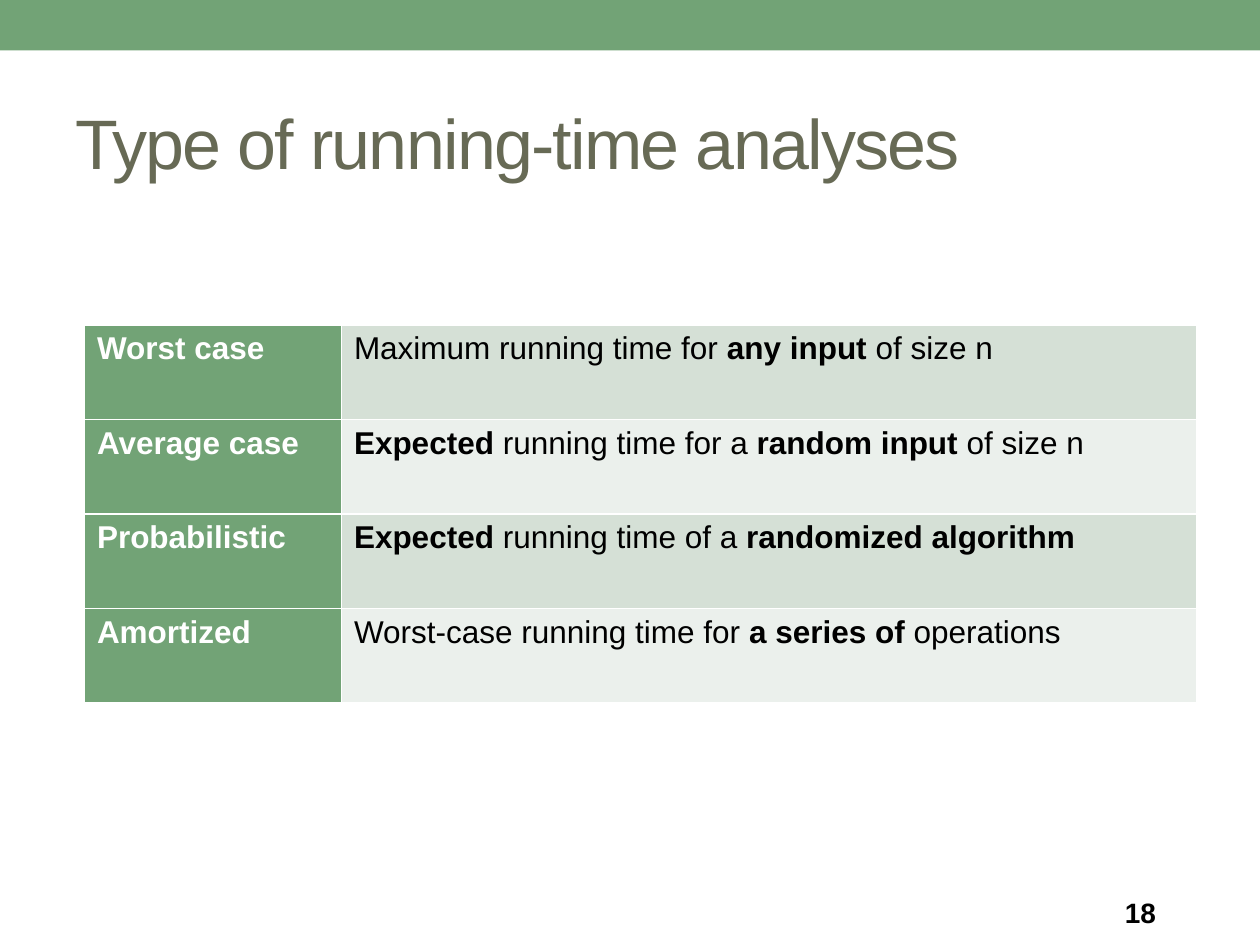
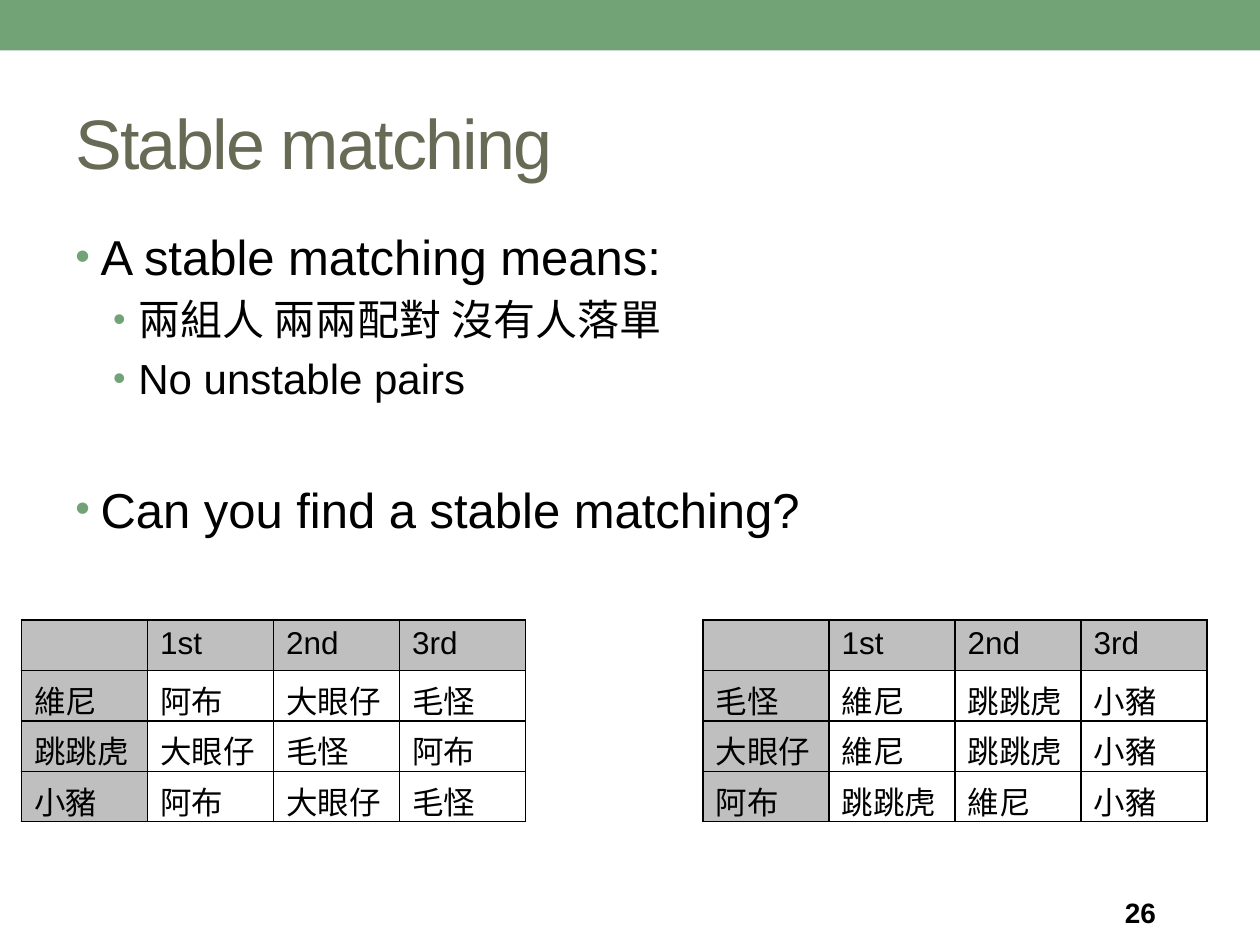
from lxml import etree
from pptx import Presentation
from pptx.dml.color import RGBColor
from pptx.enum import shapes, text
from pptx.oxml import ns
from pptx.util import Inches, Pt

FONT = "Arial"
GREEN, OLIVE, BLACK, WHITE, GREY = "72A376", "676A55", "000000", "FFFFFF", "BFBFBF"
STRIPES = "D5E0D6", "EBF0EC"

ANALYSES = [
    ("Worst case", [("Maximum running time for ", False), ("any input ", True),
                    ("of size n", False)]),
    ("Average case", [("Expected", True), (" running time for a ", False),
                      ("random input ", True), ("of size n", False)]),
    ("Probabilistic", [("Expected", True), (" running time of a ", False),
                       ("randomized algorithm", True)]),
    ("Amortized", [("Worst-case running time for ", False), ("a series of ", True),
                   ("operations", False)]),
]
POINTS = [
    ("A stable matching means:", 0, 28, 0),
    ("兩組人 兩兩配對 沒有人落單", 1, 24, 4.8),
    ("No unstable pairs", 1, 24, 4.8),
    ("Can you find a stable matching?", 0, 28, 43.4),
]
RANKS = ["", "1st", "2nd", "3rd"]
LEFT_PREFERENCES = [
    RANKS,
    ["維尼", "阿布", "大眼仔", "毛怪"],
    ["跳跳虎", "大眼仔", "毛怪", "阿布"],
    ["小豬", "阿布", "大眼仔", "毛怪"],
]
RIGHT_PREFERENCES = [
    RANKS,
    ["毛怪", "維尼", "跳跳虎", "小豬"],
    ["大眼仔", "維尼", "跳跳虎", "小豬"],
    ["阿布", "跳跳虎", "維尼", "小豬"],
]


def rgb(value):
    """Turn a hex string into a colour."""
    return RGBColor.from_string(value)


def add_element(parent, tag, **attributes):
    """Append a drawing element and return it."""
    return etree.SubElement(parent, ns.qn(tag), attributes)


def add_run(p, content, size, color=BLACK, bold=False):
    """Append one formatted run to a paragraph."""
    r = p.add_run()
    r.text = content
    r.font.name, r.font.size, r.font.bold = FONT, Pt(size), bold
    r.font.color.rgb = rgb(color)
    return r


def add_text_frame(s, left, top, width, height, anchor=text.MSO_ANCHOR.MIDDLE):
    """Add a wrapping text box and return its text frame."""
    box = s.shapes.add_textbox(Inches(left), Inches(top), Inches(width), Inches(height))
    tf = box.text_frame
    tf.word_wrap, tf.vertical_anchor = True, anchor
    return tf


def add_base_slide(prs, title, number):
    """Add a slide with the top band, title and page number."""
    s = prs.slides.add_slide(prs.slide_layouts[6])
    band = s.shapes.add_shape(shapes.MSO_SHAPE.RECTANGLE, 0, 0, prs.slide_width, Inches(0.4))
    band.shadow.inherit = False
    band.fill.solid()
    band.fill.fore_color.rgb = rgb(GREEN)
    band.line.fill.background()
    tf = add_text_frame(s, 0.5, 0.58, 9, 1.08)
    r = add_run(tf.paragraphs[0], title, 40, OLIVE)
    r.font._element.set("spc", "-100")
    tf = add_text_frame(s, 8.83, 7.06, 1.17, 0.36)
    add_run(tf.paragraphs[0], str(number), 16, bold=True)
    return s


def add_plain_table(s, left, top, widths, row_height, row_count):
    """Add an unstyled table with the given column widths."""
    frame = s.shapes.add_table(row_count, len(widths), Inches(left), Inches(top),
                               Inches(sum(widths)), Inches(row_height * row_count))
    table = frame.table
    table.first_row = table.horz_banding = False
    for column, width in zip(table.columns, widths):
        column.width = Inches(width)
    return table


def fill_cell(cell, runs, fill, border, color=BLACK):
    """Write the runs of a cell and set its borders and fill."""
    for content, bold in runs:
        add_run(cell.text_frame.paragraphs[0], content, 18, color, bold)
    tc_pr = cell._tc.get_or_add_tcPr()
    for side in ("a:lnL", "a:lnR", "a:lnT", "a:lnB"):
        line = add_element(tc_pr, side, w=str(Pt(1)))
        add_element(add_element(line, "a:solidFill"), "a:srgbClr", val=border)
    cell.fill.solid()
    cell.fill.fore_color.rgb = rgb(fill)


def add_analysis_table(s, left, top):
    """Add the table that explains each type of analysis."""
    table = add_plain_table(s, left, top, [2.04, 6.79], 0.75, len(ANALYSES))
    for i, (name, meaning) in enumerate(ANALYSES):
        fill_cell(table.cell(i, 0), [(name, True)], GREEN, WHITE, WHITE)
        fill_cell(table.cell(i, 1), meaning, STRIPES[i % 2], WHITE)


def add_preference_table(s, left, top, rows):
    """Add a grid of ranked partners with grey headings."""
    table = add_plain_table(s, left, top, [1] * len(RANKS), 0.4, len(rows))
    for i, row in enumerate(rows):
        for j, name in enumerate(row):
            fill = WHITE if i and j else GREY
            fill_cell(table.cell(i, j), [(name, False)] if name else [], fill, BLACK)


def add_bullets(s, left, top, width, height):
    """Add the two-level list of points."""
    tf = add_text_frame(s, left, top, width, height, text.MSO_ANCHOR.TOP)
    for i, (content, level, size, before) in enumerate(POINTS):
        p = tf.add_paragraph() if i else tf.paragraphs[0]
        p.level = level
        p_pr = p._p.get_or_add_pPr()
        p_pr.set("marL", str(Inches(0.2 + 0.3 * level)))
        p_pr.set("indent", str(Inches(-0.2)))
        add_element(add_element(p_pr, "a:buClr"), "a:srgbClr", val=GREEN)
        add_element(p_pr, "a:buSzPct", val="85000")
        add_element(p_pr, "a:buFont", typeface=FONT)
        add_element(p_pr, "a:buChar", char="•")
        p.space_before = Pt(before)
        add_run(p, content, size)


def add_analyses_slide(prs):
    """Add the slide on types of running-time analyses."""
    s = add_base_slide(prs, "Type of running-time analyses", 18)
    add_analysis_table(s, 0.67, 2.58)


def add_matching_slide(prs):
    """Add the slide on stable matching."""
    s = add_base_slide(prs, "Stable matching", 26)
    add_bullets(s, 0.5, 1.75, 9, 5.33)
    add_preference_table(s, 0.17, 4.92, LEFT_PREFERENCES)
    add_preference_table(s, 5.58, 4.92, RIGHT_PREFERENCES)


def main():
    """Build and save the presentation."""
    prs = Presentation()
    prs.slide_width, prs.slide_height = Inches(10), Inches(7.5)
    add_analyses_slide(prs)
    add_matching_slide(prs)
    prs.save("out.pptx")


if __name__ == "__main__":
    main()
